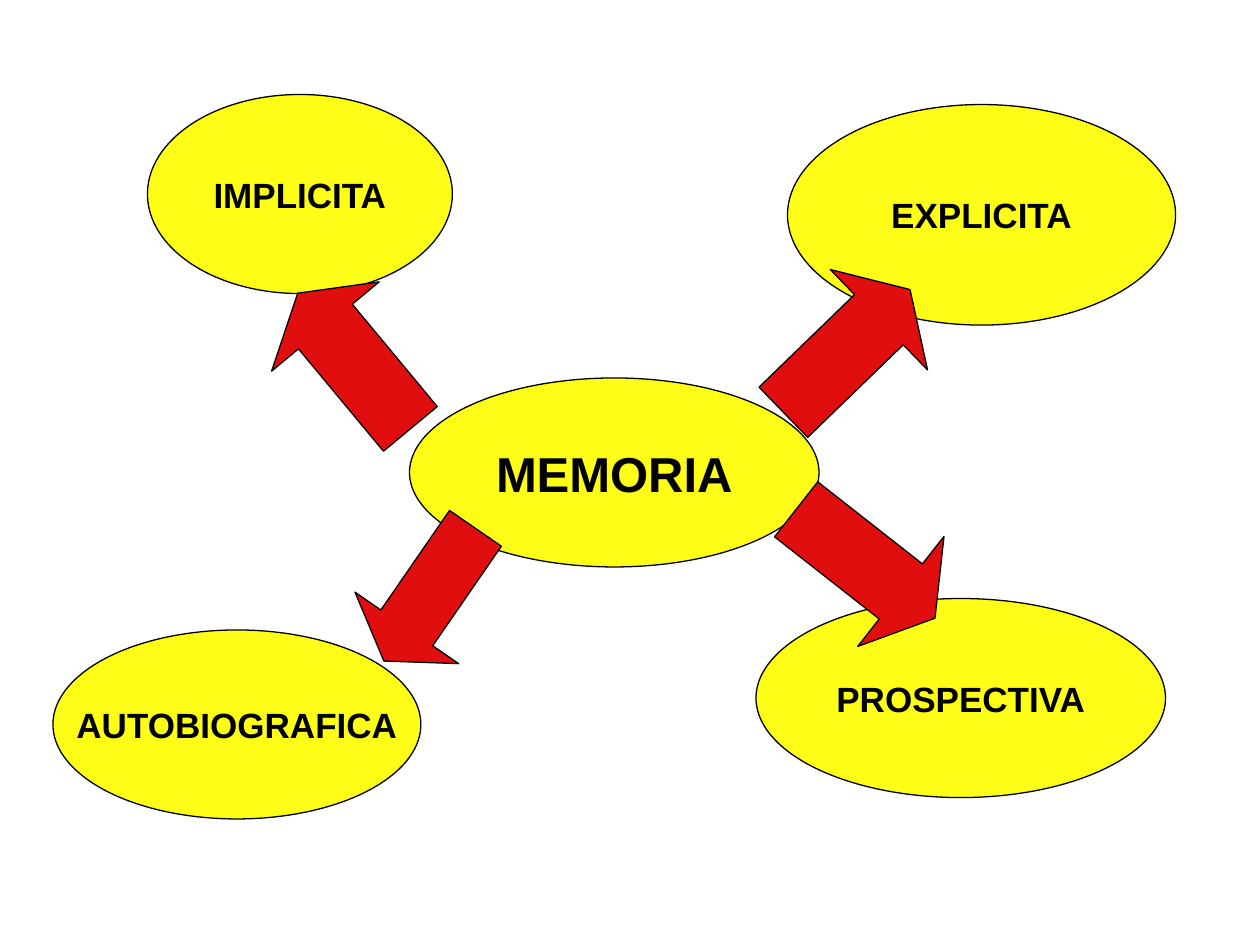
from typing import NamedTuple

from pptx import Presentation
from pptx.dml.color import RGBColor
from pptx.enum.shapes import MSO_SHAPE
from pptx.enum.text import MSO_ANCHOR, PP_ALIGN
from pptx.util import Inches, Pt

YELLOW, RED, BLACK = "FDFD17", "E00E0E", "000000"


class Bubble(NamedTuple):
    text: str
    left: float
    top: float
    width: float
    height: float
    size: int = 20


class Arrow(NamedTuple):
    left: float
    top: float
    rotation: float
    width: float = 1.4
    height: float = 1.11
    head: float = 0.31


BUBBLES = [
    Bubble("MEMORIA", 3.25, 3, 3.25, 1.5, size=28),
    Bubble("IMPLICITA", 1.17, 0.75, 2.42, 1.58),
    Bubble("AUTOBIOGRAFICA", 0.42, 5, 2.92, 1.5),
    Bubble("PROSPECTIVA", 6, 4.75, 3.25, 1.58),
    Bubble("EXPLICITA", 6.25, 0.83, 3.08, 1.75),
]
ARROWS = [
    Arrow(2.11, 2.31, 230.3),
    Arrow(2.77, 4.22, 124.6, width=1.28, height=1, head=0.32),
    Arrow(6.02, 2.23, 315.9),
    Arrow(6.17, 3.92, 38.1),
]


def rgb(value: str) -> RGBColor:
    return RGBColor.from_string(value)


def add_outlined(shapes, kind: MSO_SHAPE, item: Bubble | Arrow, fill: str):
    """Add a filled shape with a thin black outline."""
    box = (item.left, item.top, item.width, item.height)
    sp = shapes.add_shape(kind, *map(Inches, box))
    sp.shadow.inherit = False
    sp.fill.solid()
    sp.fill.fore_color.rgb = rgb(fill)
    sp.line.color.rgb = rgb(BLACK)
    sp.line.width = Pt(0.75)
    return sp


def add_bubble(shapes, bubble: Bubble) -> None:
    tf = add_outlined(shapes, MSO_SHAPE.OVAL, bubble, YELLOW).text_frame
    tf.word_wrap = False
    tf.vertical_anchor = MSO_ANCHOR.MIDDLE
    p = tf.paragraphs[0]
    p.alignment = PP_ALIGN.CENTER
    r = p.add_run()
    r.text = bubble.text
    font_format = {"name": "Arial", "size": Pt(bubble.size), "bold": True}
    for name, value in font_format.items():
        setattr(r.font, name, value)
    r.font.color.rgb = rgb(BLACK)


def add_arrow(shapes, arrow: Arrow) -> None:
    sp = add_outlined(shapes, MSO_SHAPE.RIGHT_ARROW, arrow, RED)
    sp.rotation = arrow.rotation
    sp.adjustments[0] = 0.5
    sp.adjustments[1] = arrow.head


def main() -> None:
    prs = Presentation()
    prs.slide_width, prs.slide_height = Inches(10), Inches(7.5)
    shapes = prs.slides.add_slide(prs.slide_layouts[6]).shapes
    for bubble in BUBBLES:
        add_bubble(shapes, bubble)
    for arrow in ARROWS:
        add_arrow(shapes, arrow)
    prs.save("out.pptx")


if __name__ == "__main__":
    main()
